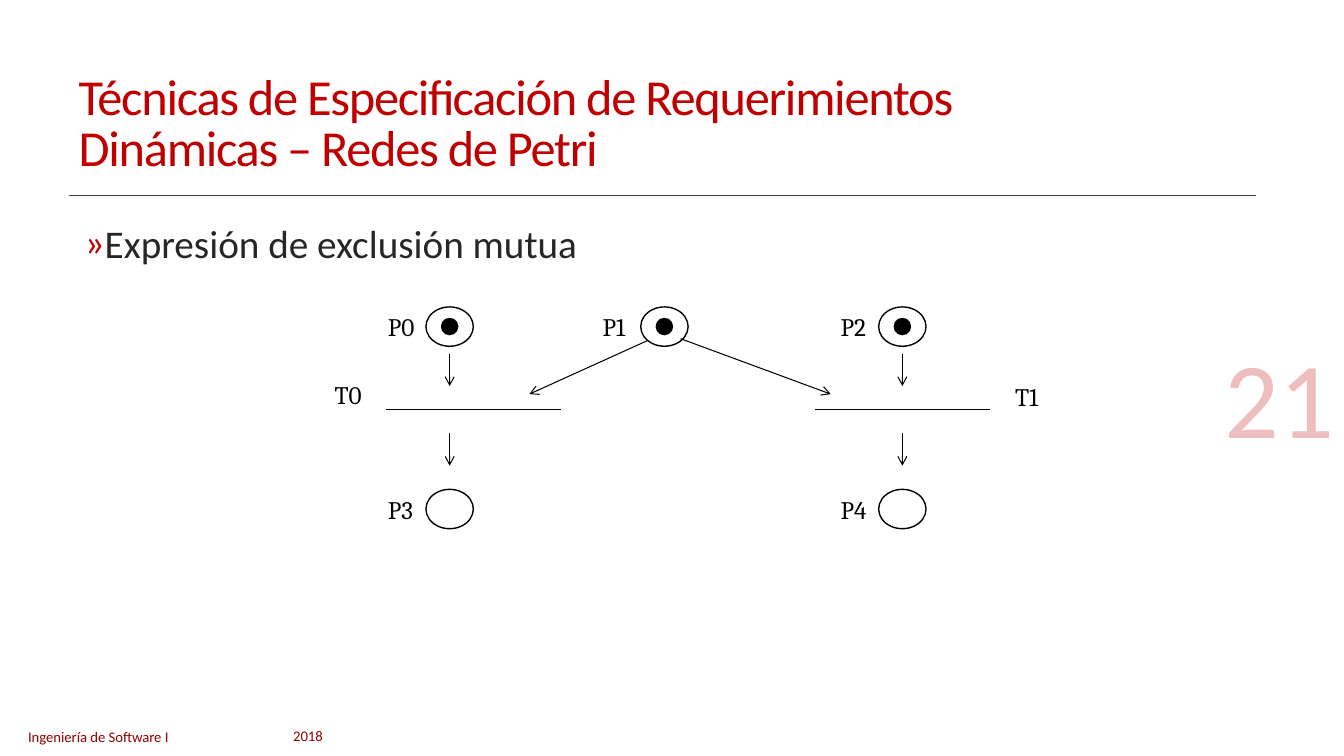
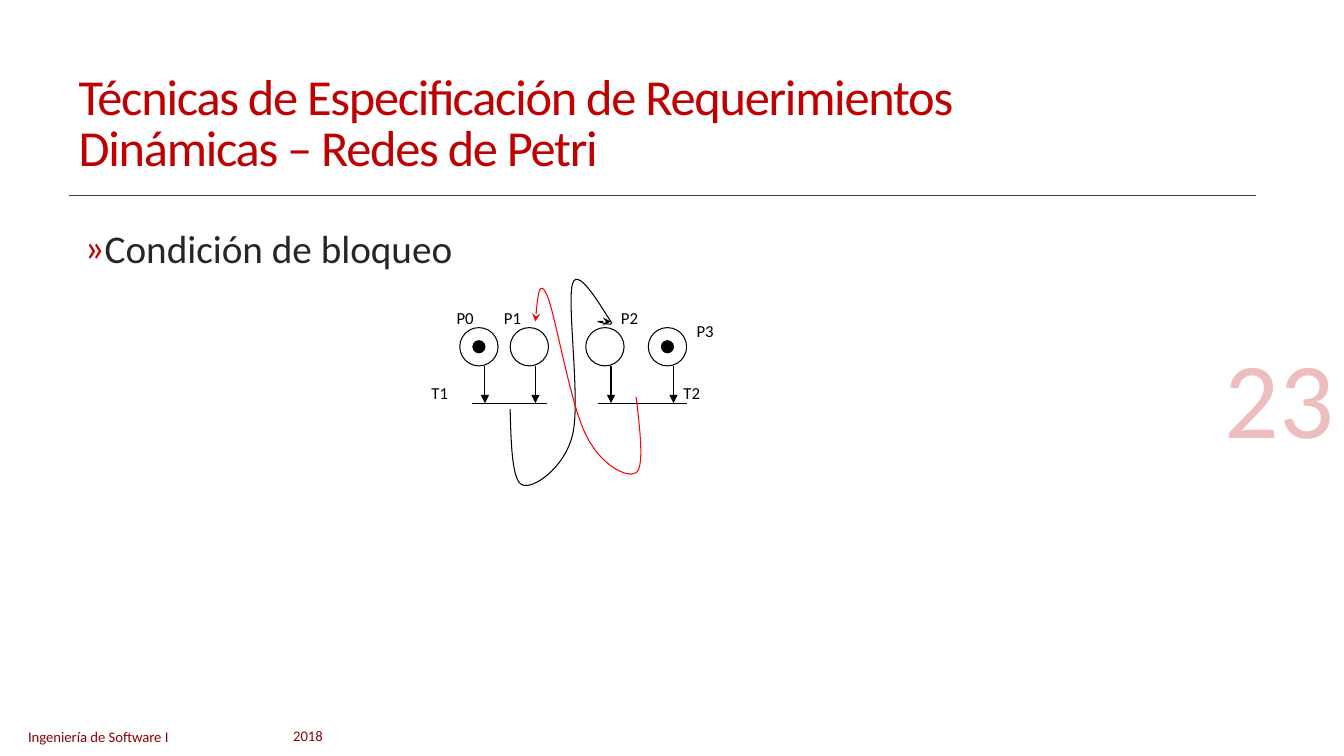
from dataclasses import dataclass

from lxml.etree import SubElement
from pptx import Presentation
from pptx.dml.color import RGBColor
from pptx.enum.shapes import MSO_CONNECTOR, MSO_SHAPE
from pptx.enum.text import MSO_ANCHOR, MSO_AUTO_SIZE, PP_ALIGN
from pptx.oxml.ns import qn
from pptx.util import Inches, Pt


@dataclass(frozen=True)
class Theme:
    font: str = "Calibri"
    accent: str = "C00000"
    footer: str = "900000"
    body: str = "262626"
    rule: str = "404040"
    ink: str = "000000"
    paper: str = "FFFFFF"
    feedback: str = "FF0000"
    title_size: float = 36
    body_size: float = 28
    footer_size: float = 10.5
    number_size: float = 77.2
    thin: float = 0.75


THEME = Theme()
TITLE = "Técnicas de Especificación de Requerimientos\vDinámicas – Redes de Petri"

# Petri nets: places are (centre x, centre y, has token), labels (x, y),
# lines (x1, y1, x2, y2, arrowhead), curves (colour, Bézier points)
mutex_columns = (4.46, 8.95)
mutex_places = {
    "P0": (4.46, 3.24, True), "P1": (6.59, 3.24, True), "P2": (8.95, 3.24, True),
    "P3": (4.46, 5.05, False), "P4": (8.95, 5.05, False),
}
mutex = dict(
    number="21", heading="Expresión de exclusión mutua", heading_top=2.2,
    place_size=(0.47, 0.39), token_size=0.16, place_line=1,
    label_font="Cambria", label_size=18, label_box=(0.47, 0.71),
    places=mutex_places,
    labels={"T0": (3.22, 3.71), "T1": (9.97, 3.73)}
    | {name: (x - 0.71, y - 0.2) for name, (x, y, _) in mutex_places.items()},
    lines=[(3.83, 4.06, 5.56, 4.06, None), (8.08, 4.06, 9.82, 4.06, None),
           (6.42, 3.38, 5.25, 3.91, "arrow"), (6.75, 3.36, 8.24, 3.91, "arrow")]
    + [(x, y, x, y + 0.32, "arrow") for x in mutex_columns for y in (3.51, 4.3)],
    curves=[],
)

deadlock_places = {
    "P0": (4.75, 3.44, True), "P1": (5.25, 3.44, False),
    "P2": (6.0, 3.44, False), "P3": (6.62, 3.44, True),
}
deadlock = dict(
    number="23", heading="Condición de bloqueo", heading_top=2.25,
    place_size=(0.38, 0.38), token_size=0.12, place_line=THEME.thin,
    label_font=THEME.font, label_size=12, label_box=(0.38, 0.38),
    places=deadlock_places,
    labels={"P0": (4.43, 3), "P1": (4.9, 3), "P2": (6.06, 3), "P3": (6.81, 3.13),
            "T1": (4.18, 3.75), "T2": (6.68, 3.75)},
    lines=[(4.68, 4, 5.43, 4, None), (5.93, 4, 6.81, 4, None)]
    + [(x + 0.06, 3.63, x + 0.06, 4, "triangle") for x, _, _ in deadlock_places.values()],
    curves=[
        (THEME.ink, [(5.06, 4.06), (5.07, 4.42), (5.08, 4.77), (5.18, 4.81),
                     (5.28, 4.86), (5.6, 4.65), (5.68, 4.31),
                     (5.76, 3.98), (5.62, 3), (5.68, 2.81),
                     (5.74, 2.63), (6.01, 3.13), (6.06, 3.19),
                     (6.1, 3.25), (5.93, 3.19), (5.93, 3.19),
                     (5.93, 3.19), (5.99, 3.19), (6.06, 3.19)]),
        (THEME.feedback, [(6.31, 3.94), (6.35, 4.28), (6.39, 4.63), (6.31, 4.69),
                          (6.22, 4.75), (5.95, 4.61), (5.81, 4.31),
                          (5.66, 4.02), (5.51, 3.13), (5.43, 2.94),
                          (5.35, 2.75), (5.33, 2.97), (5.31, 3.19)]),
    ],
)


def write(shape, text, box, size, color, font=THEME.font):
    """Place a shape and fill it with one formatted paragraph."""
    shape.left, shape.top, shape.width, shape.height = map(Inches, box)
    frame = shape.text_frame
    frame.word_wrap, frame.auto_size = True, MSO_AUTO_SIZE.NONE
    frame.text = text
    paragraph = frame.paragraphs[0]
    paragraph.font.name, paragraph.font.size = font, Pt(size)
    paragraph.font.color.rgb = RGBColor.from_string(color)
    return paragraph


def outline(shape, color=THEME.ink, width=THEME.thin, head=None):
    """Give a shape or connector a plain line without shadow."""
    shape.line.color.rgb = RGBColor.from_string(color)
    shape.line.width = Pt(width)
    if head:
        SubElement(shape.line._ln, qn("a:tailEnd"), type=head)
    SubElement(shape._element.spPr, qn("a:effectLst"))


prs = Presentation()
prs.slide_width, prs.slide_height = Inches(13.33), Inches(7.5)

for net in (mutex, deadlock):
    slide = prs.slides.add_slide(prs.slide_layouts[1])
    shapes = slide.shapes

    # Title and rule
    title = write(shapes.title, TITLE, (0.68, 0.55, 11.82, 1.39),
                  THEME.title_size, THEME.accent)
    title.alignment, title.line_spacing = PP_ALIGN.LEFT, 0.85
    title.font._element.set("spc", "-90")
    shapes.title.text_frame.vertical_anchor = MSO_ANCHOR.MIDDLE
    rule = shapes.add_connector(MSO_CONNECTOR.STRAIGHT, Inches(0.68), Inches(1.94),
                                Inches(12.46), Inches(1.94))
    outline(rule, THEME.rule)

    # Heading with its bullet
    heading = write(slide.placeholders[1], net["heading"],
                    (0.74, net["heading_top"], 11.76, 4.12), THEME.body_size, THEME.body)
    heading.line_spacing, heading.space_before = 0.85, Pt(9.8)
    properties = heading._p.get_or_add_pPr()
    properties.set("marL", str(Inches(0.07)))
    properties.set("indent", str(Inches(-0.07)))
    defaults = properties.find(qn("a:defRPr"))
    SubElement(SubElement(properties, qn("a:buClr")), qn("a:srgbClr"), val=THEME.accent)
    SubElement(properties, qn("a:buFont"), typeface=THEME.font)
    SubElement(properties, qn("a:buChar"), char="»")
    properties.append(defaults)

    # Footer and slide number
    for text, box in (("2018", (2.81, 7.16, 0.9, 0.28)),
                      ("Ingeniería de Software I", (0.18, 7.17, 2.36, 0.23))):
        write(shapes.add_textbox(0, 0, 0, 0), text, box, THEME.footer_size, THEME.footer)
    number_box = shapes.add_textbox(0, 0, 0, 0)
    number = write(number_box, net["number"], (10.13, 3.04, 3.2, 1.53),
                   THEME.number_size, THEME.accent)
    number.alignment = PP_ALIGN.RIGHT
    number_box.text_frame.vertical_anchor = MSO_ANCHOR.BOTTOM
    number_box.text_frame.margin_bottom = 0
    number_color = next(number.font._element.iter(qn("a:srgbClr")))
    SubElement(number_color, qn("a:alpha"), val="25000")

    # Places and their tokens
    token_size = (net["token_size"], net["token_size"])
    for x, y, has_token in net["places"].values():
        ovals = [(net["place_size"], THEME.paper)]
        if has_token:
            ovals.append((token_size, THEME.ink))
        for (width, height), fill in ovals:
            oval = shapes.add_shape(MSO_SHAPE.OVAL, Inches(x - width / 2),
                                    Inches(y - height / 2), Inches(width), Inches(height))
            oval.fill.solid()
            oval.fill.fore_color.rgb = RGBColor.from_string(fill)
            outline(oval, width=net["place_line"])

    # Transitions and arrows
    for *ends, head in net["lines"]:
        line = shapes.add_connector(MSO_CONNECTOR.STRAIGHT, *map(Inches, ends))
        outline(line, head=head)

    # Feedback curves: every three segments become one Bézier segment
    for color, points in net["curves"]:
        start, *controls = [(Inches(x), Inches(y)) for x, y in points]
        builder = shapes.build_freeform(*start)
        builder.add_line_segments(controls, close=False)
        curve = builder.convert_to_shape()
        segments = list(curve._element.iter(qn("a:lnTo")))
        track = segments[0].getparent()
        for i in range(0, len(segments), 3):
            bezier = SubElement(track, qn("a:cubicBezTo"))
            for segment in segments[i:i + 3]:
                bezier.append(segment[0])
                track.remove(segment)
        curve.fill.background()
        outline(curve, color, head="stealth")

    # Labels
    for name, corner in net["labels"].items():
        label = shapes.add_textbox(0, 0, 0, 0)
        write(label, name, (*corner, *net["label_box"]), net["label_size"],
              THEME.ink, net["label_font"])
        label.text_frame.margin_right = 0

prs.save("out.pptx")
